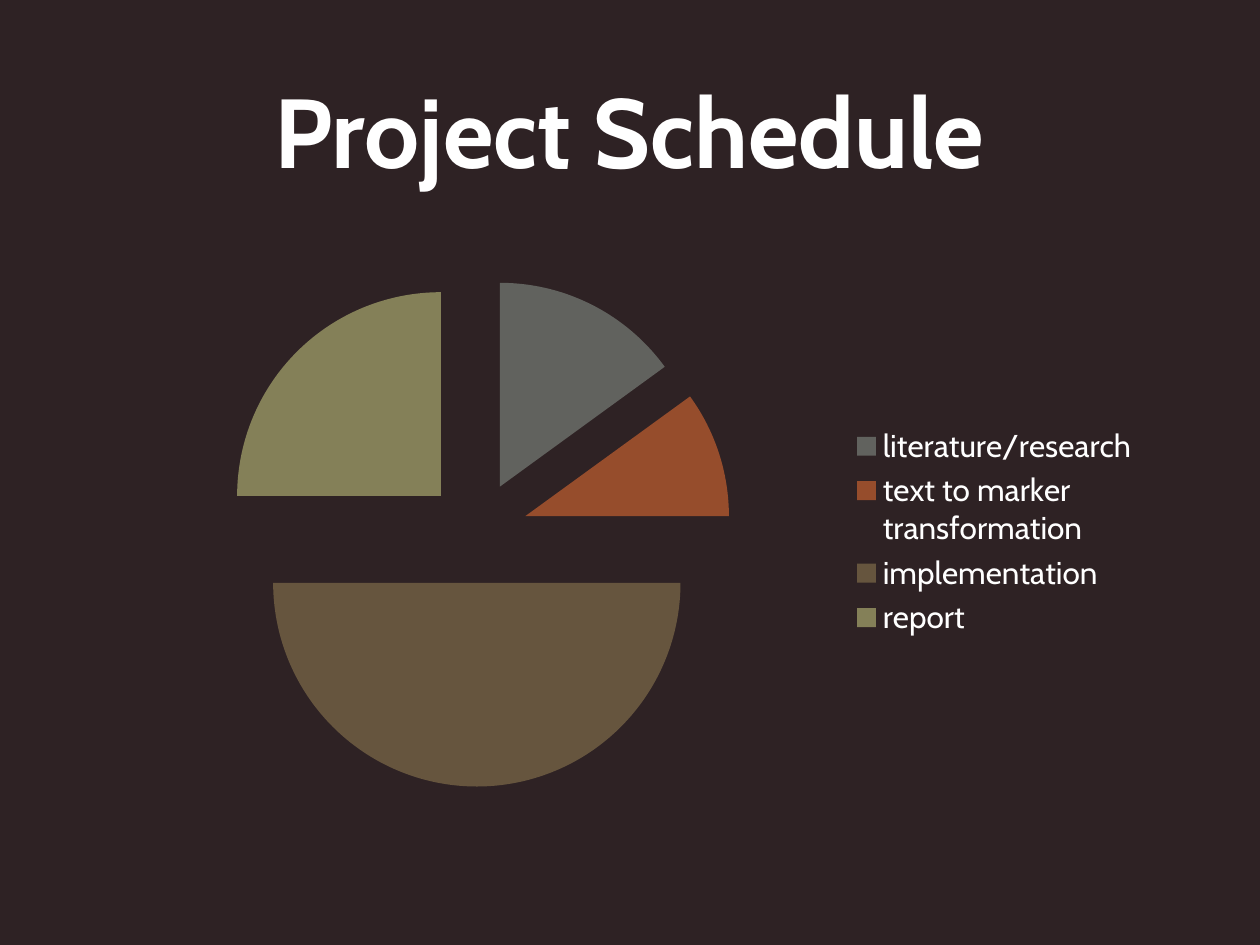
from pptx import Presentation
from pptx.chart.data import CategoryChartData
from pptx.dml.color import RGBColor
from pptx.enum.chart import XL_CHART_TYPE, XL_LEGEND_POSITION
from pptx.enum.text import MSO_ANCHOR, PP_ALIGN
from pptx.util import Pt

EXPLODED_PIE = XL_CHART_TYPE.PIE_EXPLODED
RIGHT = XL_LEGEND_POSITION.RIGHT
MIDDLE = MSO_ANCHOR.MIDDLE
CENTER = PP_ALIGN.CENTER

# Content
TITLE = "Project Schedule"
SCHEDULE = [
    ("literature/research", 15, "gray"),
    ("text to marker transformation", 10, "rust"),
    ("implementation", 50, "brown"),
    ("report", 25, "olive"),
]

# Look
FONT = "Cabin"
COLORS = {
    "background": "2E2224",
    "text": "FFFFFF",
    "gray": "61625E",
    "rust": "964D2C",
    "brown": "66553E",
    "olive": "848058",
}

# Layout in px, 126 to the inch
EMU_PER_PX = 914400 / 126
PAGE_SIZE = (1260, 945)
TITLE_BOX = (107, 15, 1045, 228)
CHART_BOX = (107, 260, 1045, 544)


def emu(lengths):
    return [round(length * EMU_PER_PX) for length in lengths]


def color(name):
    return RGBColor.from_string(COLORS[name])


def format_font(font, size, bold=False):
    font.name = FONT
    font.size = Pt(size)
    font.bold = bold
    font.color.rgb = color("text")


def write(box, text, size, bold=False, align=CENTER, anchor=MIDDLE):
    frame = box.text_frame
    frame.word_wrap = True
    frame.vertical_anchor = anchor
    para = frame.paragraphs[0]
    para.alignment = align
    span = para.add_run()
    span.text = text
    format_font(span.font, size, bold)


def add_title(page):
    title = page.shapes.title
    title.left, title.top, title.width, title.height = emu(TITLE_BOX)
    write(title, TITLE, size=56, bold=True)


def add_schedule(page):
    data = CategoryChartData()
    data.categories = [task for task, share, fill in SCHEDULE]
    data.add_series("Series 1", [share for task, share, fill in SCHEDULE])
    chart = page.shapes.add_chart(EXPLODED_PIE, *emu(CHART_BOX), data).chart
    chart.has_title = False
    format_font(chart.font, 18)

    # Legend
    chart.has_legend = True
    chart.legend.position = RIGHT
    chart.legend.include_in_layout = False

    # Slices
    plot = chart.plots[0]
    plot.vary_by_categories = True
    for index, (task, share, fill) in enumerate(SCHEDULE):
        slice_format = plot.series[0].points[index].format
        slice_format.fill.solid()
        slice_format.fill.fore_color.rgb = color(fill)
        slice_format.line.fill.background()


def main():
    deck = Presentation()
    deck.slide_width, deck.slide_height = emu(PAGE_SIZE)
    page = deck.slides.add_slide(deck.slide_layouts[5])
    page.background.fill.solid()
    page.background.fill.fore_color.rgb = color("background")
    add_title(page)
    add_schedule(page)
    deck.save("out.pptx")


if __name__ == "__main__":
    main()
